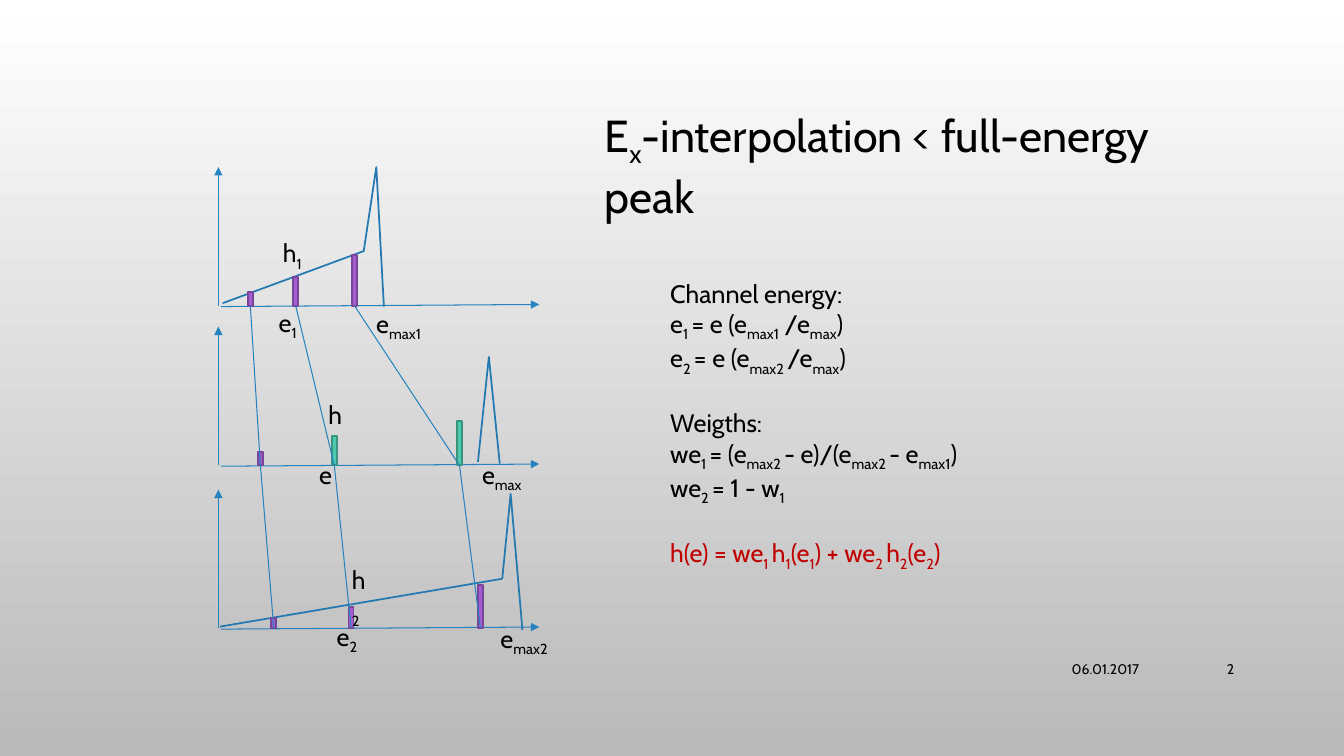
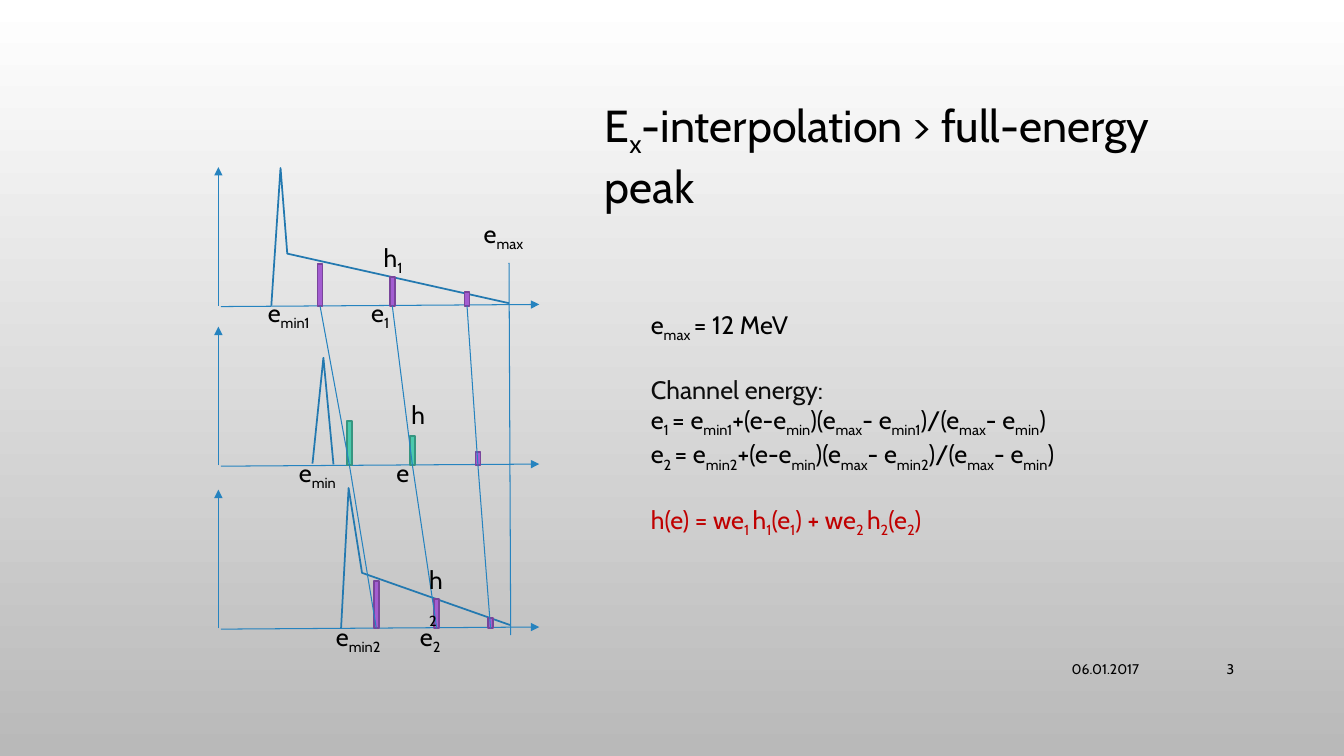
from pptx import Presentation
from pptx.dml.color import RGBColor
from pptx.enum.shapes import MSO_CONNECTOR, MSO_SHAPE
from pptx.enum.text import MSO_ANCHOR, PP_ALIGN
from pptx.oxml.ns import qn
from pptx.util import Inches, Pt
from lxml import etree

STRAIGHT, RECT = MSO_CONNECTOR.STRAIGHT, MSO_SHAPE.RECTANGLE
TOP, MIDDLE = MSO_ANCHOR.TOP, MSO_ANCHOR.MIDDLE
LEFT, RIGHT = PP_ALIGN.LEFT, PP_ALIGN.RIGHT
BOTTOM_SIDE = 2

WIDTH, HEIGHT = Inches(13.33), Inches(7.5)
COLS, ROWS = 160, 90
FONT = "Cabin"
BLACK, SOFT_BLACK, RED = "000000", "0D0D0D", "C00000"
AXIS, CURVE = "2683BF", "2379B0"
PURPLE, GREEN = ("A35DD1", "79459B"), ("4BCAAD", "379580")
BACKGROUND = ("FFFFFF", "B9B9B9")

PANEL_LEFT, PANEL_TOPS = 26, (19.9, 38.9, 58.3)
PANEL_W, PANEL_H = 38.2, 16.5
BAR_W = 0.6
BAR_COLORS = ((PURPLE,) * 3, (PURPLE, GREEN, GREEN), (PURPLE,) * 3)
LABEL_W, NARROW_W, LABEL_H = 10.8, 4.2, 4.8

WEIGHTED_SUM = "h(e) = we|1 |h|1|(e|1|) + we|2 |h|2|(e|2|)"


def rgb(value):
    return RGBColor.from_string(value)


def col(n):
    return int(WIDTH * n / COLS)


def row(n):
    return int(HEIGHT * n / ROWS)


def set_line(sp, color, width):
    sp.line.color.rgb = rgb(color)
    sp.line.width = Pt(width)


def add_text(s, box, paragraphs, size=18, align=LEFT, anchor=TOP):
    x, y, w, h = box
    tf = s.shapes.add_textbox(col(x), row(y), col(w), row(h)).text_frame
    tf.word_wrap = True
    tf.vertical_anchor = anchor
    for i, (text, color, gap) in enumerate(paragraphs):
        p = tf.paragraphs[0] if i == 0 else tf.add_paragraph()
        for name, value in {"alignment": align, "space_before": Pt(gap)}.items():
            setattr(p, name, value)
        for j, piece in enumerate(text.split("|")):
            if not piece:
                continue
            r = p.add_run()
            r.text = piece
            for name, value in {"name": FONT, "size": Pt(size)}.items():
                setattr(r.font, name, value)
            r.font.color.rgb = rgb(color)
            if j % 2:
                r._r.get_or_add_rPr().set("baseline", "-25000")


def add_line(s, start=(0, 0), end=(0, 0), arrow=False):
    sp = s.shapes.add_connector(
        STRAIGHT, col(start[0]), row(start[1]), col(end[0]), row(end[1]))
    set_line(sp, AXIS, 0.75)
    if arrow:
        tail = etree.SubElement(sp.line._get_or_add_ln(), qn("a:tailEnd"))
        tail.set("type", "triangle")
    etree.SubElement(sp._element.spPr, qn("a:effectLst"))
    return sp


def add_curve(s, points):
    points = [(col(x), row(y)) for x, y in points]
    builder = s.shapes.build_freeform(*points[0], scale=1.0)
    builder.add_line_segments(points[1:], close=False)
    sp = builder.convert_to_shape()
    sp.shadow.inherit = False
    sp.fill.background()
    set_line(sp, CURVE, 1.25)


def add_bar(s, x, base, height, colors):
    fill, line = colors
    sp = s.shapes.add_shape(
        RECT, col(x), row(base - height), col(BAR_W), row(height))
    sp.shadow.inherit = False
    sp.fill.solid()
    sp.fill.fore_color.rgb = rgb(fill)
    set_line(sp, line, 1.25)
    return sp


def add_panel(s, box, panel, colors):
    left, top, w, h = box
    base = top + h
    add_line(s, (left + 0.3, base + 0.1), (left + w, base - 0.15), True)
    add_line(s, (left, base), (left, top), True)
    add_curve(s, [(left + x, base - y) for x, y in panel["curve"]])
    return [add_bar(s, left + x, base, height, c)
            for (x, height), c in zip(panel["bars"], colors)]


def add_labels(s, box, labels):
    left, top, _, h = box
    for text, x, y in labels:
        w = NARROW_W if text == "h|2" else LABEL_W
        add_text(s, (left + x, top + h - y, w, LABEL_H), [(text, BLACK, 0)])


def add_spectra(s, panels):
    boxes = [(PANEL_LEFT, top, PANEL_W, PANEL_H) for top in PANEL_TOPS]
    bars = [add_panel(s, *args) for args in zip(boxes, panels, BAR_COLORS)]
    for upper, lower in zip(bars, bars[1:]):
        for start, end in zip(upper, lower):
            sp = add_line(s)
            sp.begin_connect(start, BOTTOM_SIDE)
            sp.end_connect(end, BOTTOM_SIDE)
    for box, panel in zip(boxes, panels):
        add_labels(s, box, panel["labels"])


def add_footer(s, number):
    for text, x, w in (("06.01.2017", 100.8, 36), (str(number), 138, 10.1)):
        add_text(s, (x, 77.2, w, 4.8), [(text, BLACK, 0)], 10, RIGHT, MIDDLE)


def add_slide(prs, number, content):
    s = prs.slides.add_slide(prs.slide_layouts[6])
    fill = s.background.fill
    fill.gradient()
    fill.gradient_angle = 270
    for stop, color in zip(fill.gradient_stops, BACKGROUND):
        stop.color.rgb = rgb(color)
    add_spectra(s, content["panels"])
    for start, end in content["guides"]:
        add_line(s, start, end)
    add_text(s, (70.8, content["title_top"], 77.8, 7.7),
             [(content["title"], BLACK, 0)], 32)
    add_text(s, content["formula_box"], content["formulas"])
    add_footer(s, number)


BELOW_PEAK = {
    "title": "E|x|-interpolation < full-energy peak",
    "title_top": 12.2,
    "guides": [],
    "panels": [
        {"curve": [(0.5, 0.3), (17.3, 6.5), (18.8, 16.5), (19.7, -0.1)],
         "bars": [(3.5, 1.6), (8.9, 3.4), (15.9, 6)],
         "labels": [("h|1", 6.5, 8.7), ("e|1", 6, 0.4), ("e|max1", 17.6, 0.3)]},
        {"curve": [(30.9, 0.4), (32.2, 12.9), (33.5, 0.2)],
         "bars": [(4.7, 1.6), (13.5, 3.5), (28.4, 5.3)],
         "labels": [("h", 11.9, 8.4), ("e", 10.8, 1.3), ("e|max", 30.2, 1.3)]},
        {"curve": [(0.2, 0.2), (33.8, 5.9), (34.8, 16), (36.2, -0.2)],
         "bars": [(6.3, 1.2), (15.5, 2.5), (30.9, 5.2)],
         "labels": [("h|2", 14.7, 8.2), ("e|2", 12.9, 1.4),
                    ("e|max2", 32.4, 1.2)]},
    ],
    "formula_box": (78.6, 32.5, 45.1, 34),
    "formulas": [
        ("Channel energy:", BLACK, 0),
        ("e|1 |= e (e|max1| /e|max|)", BLACK, 0),
        ("e|2 |= e (e|max2 |/e|max|)", BLACK, 0),
        ("Weigths:", BLACK, 22),
        ("we|1 |= (e|max2 |- e)/(e|max2 |- e|max1|)", BLACK, 0),
        ("we|2 |= 1 - w|1", BLACK, 0),
        (WEIGHTED_SUM, RED, 22),
    ],
}

ABOVE_PEAK = {
    "title": "E|x|-interpolation > full-energy peak",
    "title_top": 11,
    "guides": [((60.6, 31.3), (60.8, 75.6))],
    "panels": [
        {"curve": [(34.6, 0.3), (8.2, 6.2), (7.4, 16.4), (6.3, 0)],
         "bars": [(29.3, 1.6), (20.4, 3.4), (11.8, 5)],
         "labels": [("h|1", 18.5, 8.2), ("e|1", 17, 1.6), ("e|min1", 4.7, 1.6),
                    ("e|max", 30.4, 11)]},
        {"curve": [(11.2, 0.2), (12.5, 12.8), (13.7, 0.1)],
         "bars": [(30.6, 1.6), (22.8, 3.5), (15.3, 5.3)],
         "labels": [("h", 21.8, 8.4), ("e", 20, 1.6), ("e|min", 8.4, 1.6)]},
        {"curve": [(34.7, 0.4), (17.1, 6.6), (15.5, 16.7), (14.6, 0)],
         "bars": [(32.1, 1.2), (25.7, 3.5), (18.5, 5.6)],
         "labels": [("h|2", 23.9, 8.2), ("e|2", 22.8, 1.4),
                    ("e|min2", 12.8, 1.4)]},
    ],
    "formula_box": (76.3, 36.2, 55, 26.6),
    "formulas": [
        ("e|max |= 12 MeV", BLACK, 0),
        ("Channel energy:", SOFT_BLACK, 22),
        ("e|1 |= e|min1|+(e-e|min|)(e|max|- e|min1|)/(e|max|- e|min|)", BLACK, 0),
        ("e|2 |= e|min2|+(e-e|min|)(e|max|- e|min2|)/(e|max|- e|min|)", BLACK, 0),
        (WEIGHTED_SUM, RED, 22),
    ],
}


def main():
    prs = Presentation()
    prs.slide_width, prs.slide_height = WIDTH, HEIGHT
    for number, content in enumerate((BELOW_PEAK, ABOVE_PEAK), 2):
        add_slide(prs, number, content)
    prs.save("out.pptx")


if __name__ == "__main__":
    main()
